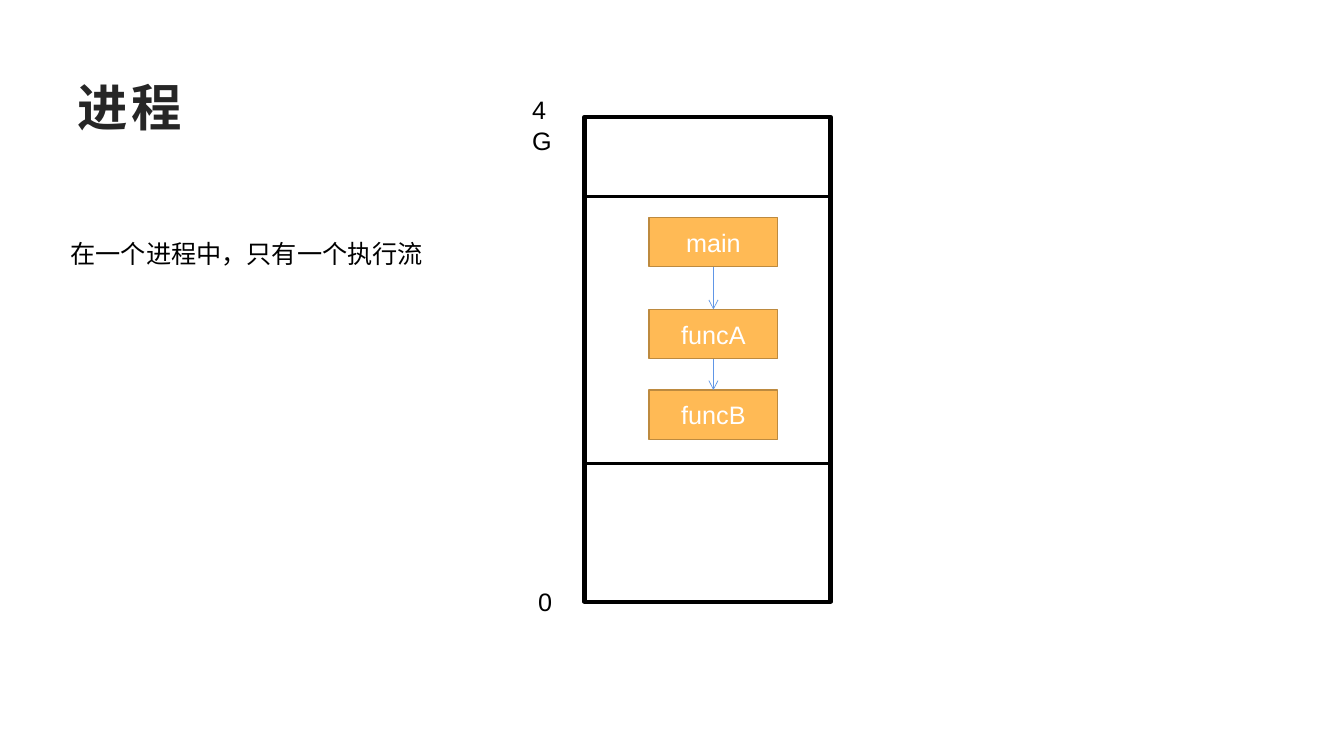
from lxml import etree
from pptx import Presentation
from pptx import util as u
from pptx.dml.color import RGBColor
from pptx.enum import shapes, text
from pptx.oxml import ns

BLACK = RGBColor(0, 0, 0)
WHITE = RGBColor(255, 255, 255)
DARK = RGBColor(0x26, 0x26, 0x26)
AMBER = RGBColor(0xFF, 0xBA, 0x55)
BROWN = RGBColor(0xBD, 0x8A, 0x3F)
BLUE = RGBColor(0x60, 0x96, 0xE6)

deck = Presentation()
deck.slide_width, deck.slide_height = u.Pt(960), u.Pt(540)
slide = deck.slides.add_slide(deck.slide_layouts[6])


def write(shape, words, size, color, **more):
    frame = shape.text_frame
    frame.word_wrap = True
    frame.text = words
    font = frame.paragraphs[0].runs[0].font
    font.color.rgb = color
    for key, value in {"name": "Arial", "size": u.Pt(size), **more}.items():
        setattr(font, key, value)
    return frame


def join(ends, color, width):
    line = slide.shapes.add_connector(
        shapes.MSO_CONNECTOR.STRAIGHT, *[u.Pt(v) for v in ends])
    line.line.color.rgb = color
    line.line.width = u.Pt(width)
    etree.SubElement(line._element.spPr, ns.qn("a:effectLst"))
    return line


title = slide.shapes.add_textbox(u.Pt(48.24), u.Pt(48.24), u.Pt(864), u.Pt(55.44))
frame = write(title, "进程", 36, DARK, bold=True)
frame.vertical_anchor = text.MSO_ANCHOR.MIDDLE
frame.paragraphs[0].runs[0].font._element.set("spc", "300")

blocks = [
    ("", 417.6, 83.5, 175.7, 346.3, WHITE, BLACK, 3),
    ("main", 463.7, 155.2, 91.8, 35.3, AMBER, BROWN, 1),
    ("funcA", 463.7, 221, 91.8, 35.3, AMBER, BROWN, 1),
    ("funcB", 463.7, 278.6, 91.8, 35.3, AMBER, BROWN, 1),
]
calls = []
for words, left, top, wide, high, fill, edge, width in blocks:
    box = slide.shapes.add_shape(
        shapes.MSO_SHAPE.RECTANGLE, u.Pt(left), u.Pt(top), u.Pt(wide), u.Pt(high))
    box.shadow.inherit = False
    box.fill.solid()
    box.fill.fore_color.rgb = fill
    box.line.color.rgb = edge
    box.line.width = u.Pt(width)
    if words:
        frame = write(box, words, 18, WHITE)
        frame.vertical_anchor = text.MSO_ANCHOR.MIDDLE
        frame.paragraphs[0].alignment = text.PP_ALIGN.CENTER
        calls.append(box)

for y in (140.4, 331.2):
    join((418.3, y, 594, y), BLACK, 2.25)

for upper, lower in zip(calls, calls[1:]):
    arrow = join((0, 0, 0, 0), BLUE, 0.5)
    arrow.begin_connect(upper, 2)
    arrow.end_connect(lower, 0)
    etree.SubElement(arrow.line._get_or_add_ln(), ns.qn("a:tailEnd"), type="arrow")

notes = [
    ("4G", 373, 64.1, 36.7),
    ("0", 377.3, 415.4, 24.5),
    ("在一个进程中，只有一个执行流", 43.2, 167, 320.4),
]
for words, left, top, wide in notes:
    note = slide.shapes.add_textbox(u.Pt(left), u.Pt(top), u.Pt(wide), u.Pt(28.8))
    write(note, words, 18, BLACK)

deck.save("out.pptx")
